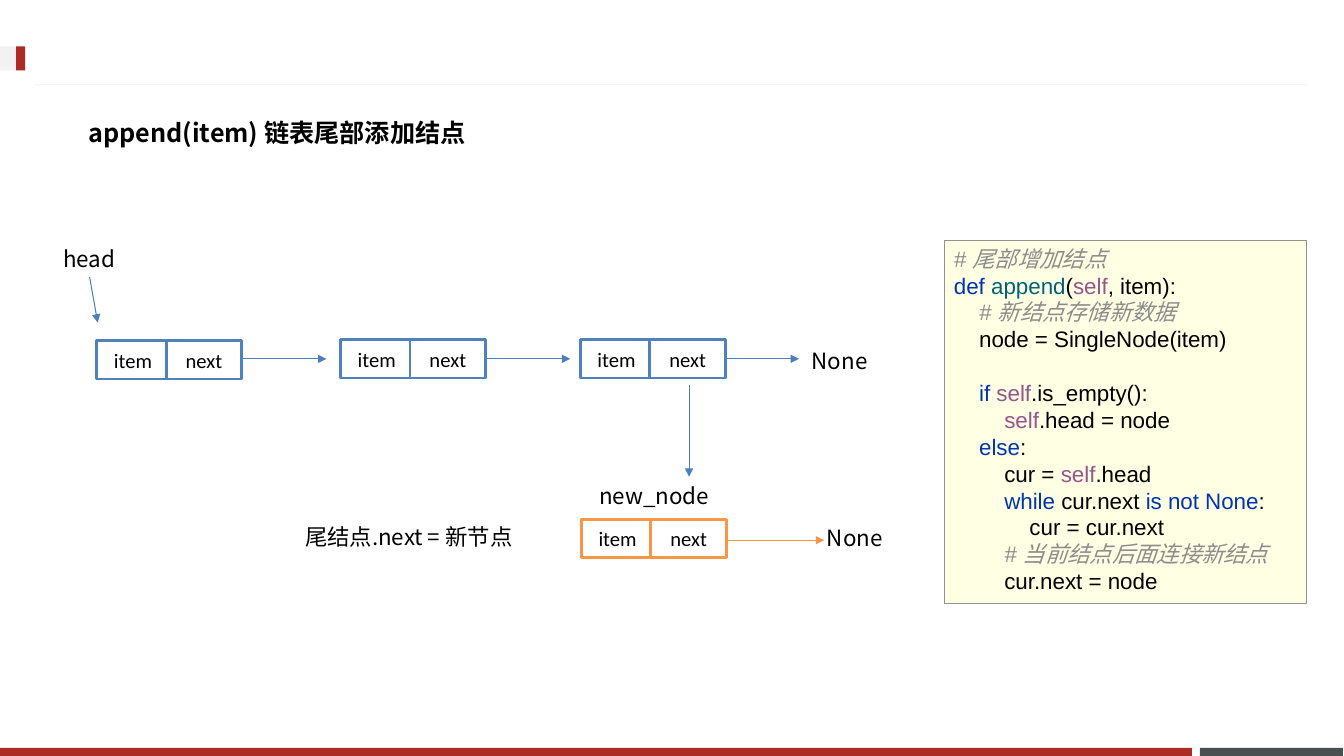
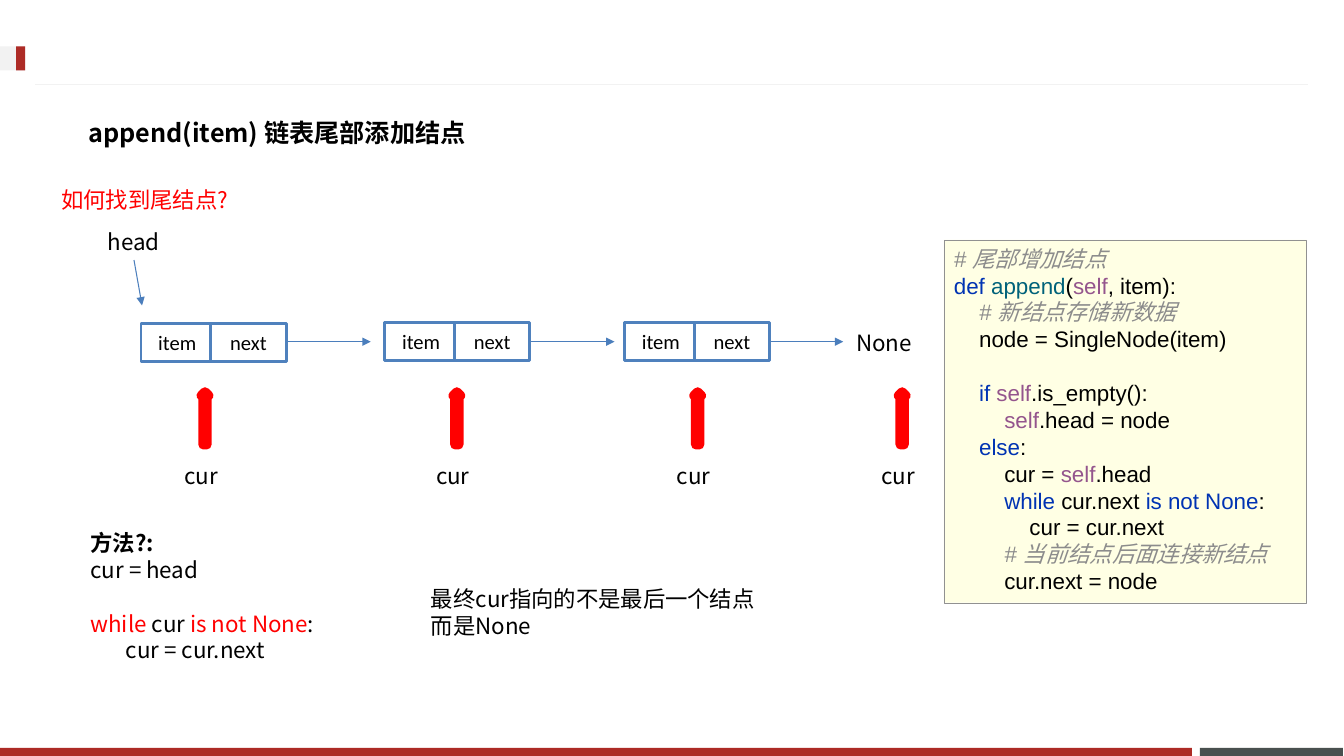
import pptx
import pptx.util
import pptx.dml.color
import pptx.enum.shapes
import pptx.enum.text
import pptx.oxml.ns
import lxml.etree

Inches = pptx.util.Inches
Pt = pptx.util.Pt
KIND = pptx.enum.shapes.MSO_SHAPE
ALIGN = pptx.enum.text.PP_ALIGN
ANCHOR = pptx.enum.text.MSO_ANCHOR
qn = pptx.oxml.ns.qn

# Palette and fonts
BLACK, WHITE, RED, PALE = "000000", "FFFFFF", "FF0000", "F2F2F2"
BRAND, SLATE = "AD2B26", "49504F"
BLUE, WIRE, ORANGE = "4F81BD", "4B7EBC", "F79646"
PAPER, EDGE = "FFFFE4", "919191"
NOTE, WORD, FUNC, SELF = "8C8C8C", "0033B3", "00627A", "94558D"
SANS, CODE, CELL = "Noto Sans CJK SC", "Arial", "Calibri"
LEAD = 19.2  # height of a 16 pt line
STEP = 0.25  # one level of code indent

TITLE = "append(item) 链表尾部添加结点"

# Code lines: indent level, blank lines before, coloured parts
APPEND = [
    (0, 0, [("# 尾部增加结点", NOTE)]),
    (0, 0, [("def ", WORD), ("append", FUNC), ("(", BLACK),
            ("self", SELF), (", item):", BLACK)]),
    (1, 0, [("# 新结点存储新数据", NOTE)]),
    (1, 0, [("node = SingleNode(item)", BLACK)]),
    (1, 1, [("if ", WORD), ("self", SELF), (".is_empty():", BLACK)]),
    (2, 0, [("self", SELF), (".head = node", BLACK)]),
    (1, 0, [("else", WORD), (":", BLACK)]),
    (2, 0, [("cur = ", BLACK), ("self", SELF), (".head", BLACK)]),
    (2, 0, [("while ", WORD), ("cur.next ", BLACK),
            ("is not None", WORD), (":", BLACK)]),
    (3, 0, [("cur = cur.next", BLACK)]),
    (2, 0, [("# 当前结点后面连接新结点", NOTE)]),
    (2, 0, [("cur.next = node", BLACK)]),
]
METHOD = [
    (0, 0, [("方法?:", BLACK)]),
    (0, 0, [("cur = head", BLACK)]),
    (0, 1, [("while ", RED), ("cur ", BLACK), ("is not None", RED), (":", BLACK)]),
    (1.4, 0, [("cur = cur.next", BLACK)]),
]


def tint(code):
    return pptx.dml.color.RGBColor.from_string(code)


class Deck:
    def __init__(self):
        self.file = pptx.Presentation()
        self.file.slide_width = Inches(13.34)
        self.file.slide_height = Inches(7.5)
        self.slide = None

    # Frame shared by all slides
    def page(self):
        self.slide = self.file.slides.add_slide(self.file.slide_layouts[6])
        self.box(11.91, 7.42, 1.42, 0.08, SLATE)
        self.box(0, 7.42, 11.83, 0.08, BRAND)
        self.line(12.98, 0.84, 0.35, 0.84, PALE, head=False)
        self.box(0, 0.46, 0.25, 0.24, PALE)
        self.box(0.16, 0.46, 0.09, 0.24, BRAND)
        title = self.text(0.78, 1.03, 11.76, 0.57, TITLE, wrap=True)
        title.vertical_anchor = ANCHOR.MIDDLE
        para = title.paragraphs[0]
        para.line_spacing = 1.0
        self.font(para.runs[0], SANS, 18, BLACK, bold=True)

    def box(self, x, y, w, h, fill=None, edge=None, width=1, kind=KIND.RECTANGLE):
        shape = self.slide.shapes.add_shape(
            kind, Inches(x), Inches(y), Inches(w), Inches(h))
        shape.shadow.inherit = False
        if fill:
            shape.fill.solid()
            shape.fill.fore_color.rgb = tint(fill)
        else:
            shape.fill.background()
        if edge:
            shape.line.color.rgb = tint(edge)
            shape.line.width = Pt(width)
        else:
            shape.line.fill.background()
        return shape

    def line(self, x1, y1, x2, y2, color=WIRE, head=True):
        wire = self.slide.shapes.add_connector(
            pptx.enum.shapes.MSO_CONNECTOR.STRAIGHT,
            Inches(x1), Inches(y1), Inches(x2), Inches(y2))
        wire.line.color.rgb = tint(color)
        wire.line.width = Pt(0.75)
        props = wire._element.spPr
        if head:
            stroke = props.find(qn("a:ln"))
            lxml.etree.SubElement(stroke, qn("a:tailEnd"), type="triangle")
        lxml.etree.SubElement(props, qn("a:effectLst"))

    # Text
    def font(self, run, name, size, color, bold=False, italic=False):
        font = run.font
        font.name, font.size = name, Pt(size)
        font.bold, font.italic = bold, italic
        font.color.rgb = tint(color)
        props = run._r.find(qn("a:rPr"))
        for old in props.findall(qn("a:ea")):
            props.remove(old)
        east = lxml.etree.Element(qn("a:ea"), typeface=SANS)
        props.find(qn("a:latin")).addnext(east)

    def rows(self, frame, rows, name):
        for i, (level, gap, parts) in enumerate(rows):
            para = frame.add_paragraph() if i else frame.paragraphs[0]
            para.alignment = ALIGN.LEFT
            para.line_spacing = Pt(LEAD)
            para.space_before = Pt(LEAD * gap)
            para._p.get_or_add_pPr().set("marL", str(Inches(STEP * level)))
            for words, color in parts:
                run = para.add_run()
                run.text = words
                self.font(run, name, 16, color, italic=color == NOTE)

    def text(self, x, y, w, h, rows, color=BLACK, wrap=False):
        frame = self.slide.shapes.add_textbox(
            Inches(x), Inches(y), Inches(w), Inches(h)).text_frame
        frame.word_wrap = wrap
        if isinstance(rows, str):
            rows = [(0, 0, [(row, color)]) for row in rows.split("\n")]
        self.rows(frame, rows, SANS)
        return frame

    def code(self):
        frame = self.box(9.37, 2.38, 3.6, 3.6, PAPER, EDGE, 0.25).text_frame
        frame.word_wrap = True
        frame.vertical_anchor = ANCHOR.TOP
        self.rows(frame, APPEND, CODE)

    # Linked list
    def node(self, x, y, tip, edge=BLUE, wire=WIRE, drop=0.19):
        self.line(x + 1.33, y + drop, tip, y + drop, wire)
        for shift, width, name in ((0, 0.72, "item"), (0.69, 0.75, "next")):
            cell = self.box(x + shift, y, width, 0.38, WHITE, edge, 2)
            frame = cell.text_frame
            frame.text = name
            frame.vertical_anchor = ANCHOR.MIDDLE
            frame.paragraphs[0].alignment = ALIGN.CENTER
            self.font(frame.paragraphs[0].runs[0], CELL, 14.7, BLACK)

    def chain(self, x, y):
        self.text(x - 0.43, y - 0.99, 0.74, 0.37, "head")
        self.line(x - 0.07, y - 0.62, x + 0.01, y - 0.17)
        for shift, drop, tip in ((0, 0.01, 2.28), (2.42, 0, 4.7), (4.8, 0, 6.97)):
            self.node(x + shift, y + drop, x + tip, drop=0.19 - drop)
        self.text(x + 7, y + 0.02, 0.79, 0.37, "None")

    def mark(self, x, y):
        self.box(x, y, 0.07, 0.52, None, RED, 7, KIND.UP_ARROW)
        self.text(x - 0.27, y + 0.65, 0.54, 0.37, "cur")


def main():
    deck = Deck()

    # Slide 1: link the new node to the tail
    deck.page()
    deck.chain(0.96, 3.37)
    deck.line(6.84, 3.82, 6.84, 4.73)
    deck.text(5.85, 4.73, 1.3, 0.37, "new_node")
    deck.node(5.77, 5.15, 8.18, ORANGE, ORANGE, 0.21)
    deck.text(8.11, 5.15, 0.79, 0.37, "None")
    deck.text(2.93, 5.14, 2.37, 0.37, "尾结点.next = 新节点")
    deck.code()

    # Slide 2: walk to the tail
    deck.page()
    deck.chain(1.4, 3.2)
    deck.text(0.51, 1.8, 1.88, 0.37, "如何找到尾结点?", RED, wrap=True)
    for x in (2, 4.5, 6.89, 8.92):
        deck.mark(x, 3.89)
    frame = deck.text(0.8, 5.2, 2.54, 1.72, METHOD)
    frame.paragraphs[0].runs[0].font.bold = True
    deck.text(4.18, 5.76, 4.06, 0.64, "最终cur指向的不是最后一个结点\n而是None", wrap=True)
    deck.code()

    deck.file.save("out.pptx")


if __name__ == "__main__":
    main()
